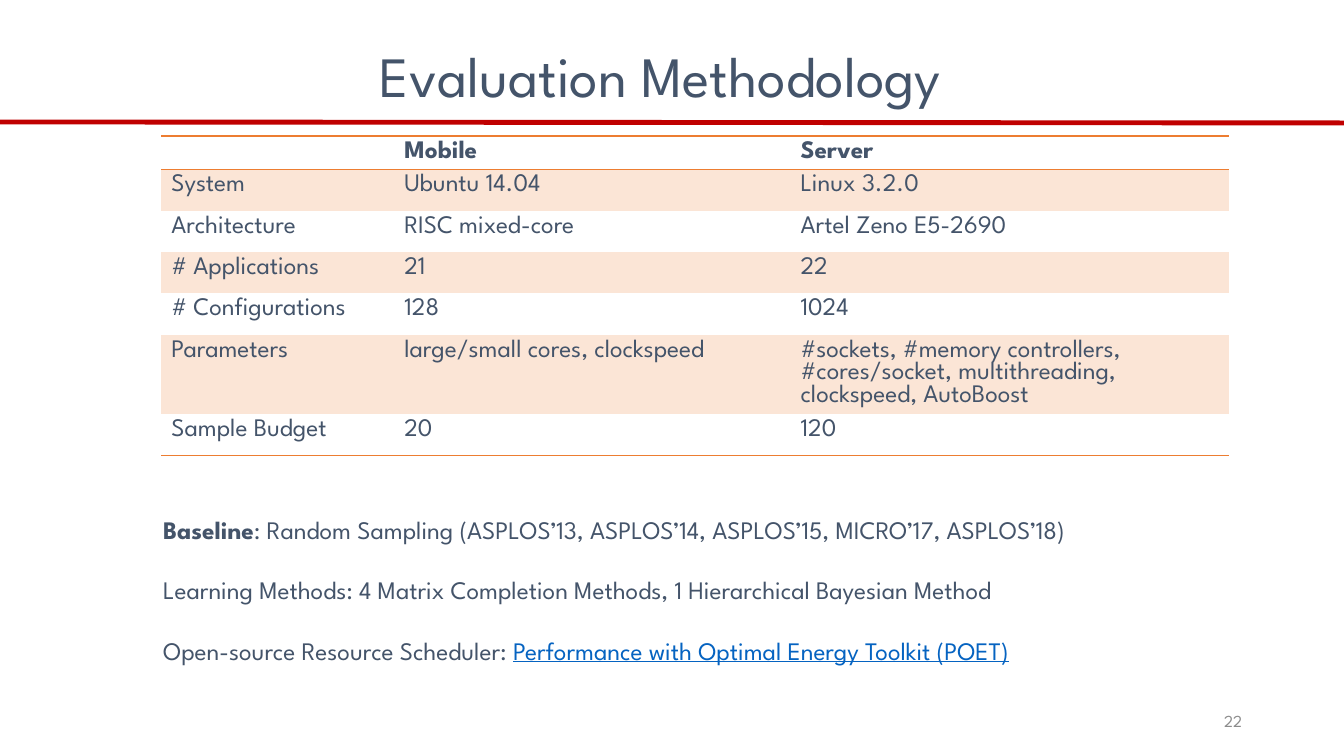
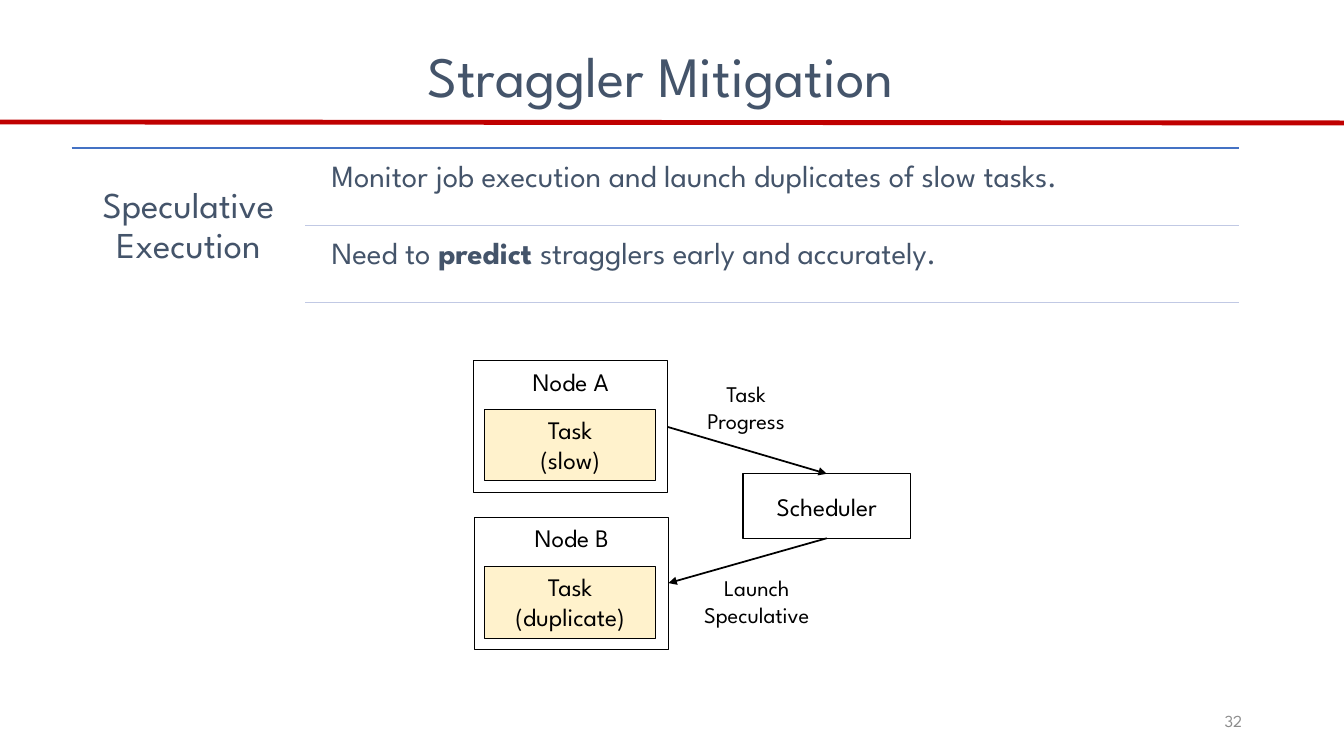
import lxml.etree
import pptx
import pptx.dml.color
import pptx.enum.shapes
import pptx.enum.text
import pptx.oxml.ns
import pptx.util

Inches = pptx.util.Inches
Pt = pptx.util.Pt
Align = pptx.enum.text.PP_ALIGN
Anchor = pptx.enum.text.MSO_ANCHOR
Rgb = pptx.dml.color.RGBColor.from_string
qn = pptx.oxml.ns.qn


class Theme:
    font = "League Spartan"
    ink, black, white, grey = "44546A", "000000", "FFFFFF", "8C8C8C"
    red, orange, peach, cream = "C00000", "ED7D31", "FBE5D6", "FFF2CC"
    blue, pale, link = "4472C4", "C1C9E4", "0563C1"
    title, head, point, body, label, foot = 40.7, 26, 22, 18, 16, 12


def write(frame, paras, size, color=Theme.ink, align=Align.LEFT,
          anchor=Anchor.TOP, inset=None, lead=None, gap=0):
    """Fill a frame; each paragraph is a list of (text, bold) runs."""
    frame.word_wrap = True
    frame.vertical_anchor = anchor
    if inset is not None:
        frame.margin_left = frame.margin_right = Inches(inset)
        frame.margin_top = frame.margin_bottom = Inches(inset)
    for i, runs in enumerate(paras):
        para = frame.add_paragraph() if i else frame.paragraphs[0]
        para.alignment = align
        if lead:
            para.line_spacing = lead
        if i and gap:
            para.space_before = Pt(gap)
        for text, bold in runs:
            run = para.add_run()
            run.text = text
            run.font.name = Theme.font
            run.font.size = Pt(size)
            run.font.bold = bold
            run.font.color.rgb = Rgb(color)


def line(slide, ends, color, width, arrow=False):
    item = slide.shapes.add_connector(
        pptx.enum.shapes.MSO_CONNECTOR.STRAIGHT, *map(Inches, ends))
    item.line.color.rgb = Rgb(color)
    item.line.width = Pt(width)
    props = item.element.spPr
    if arrow:
        lxml.etree.SubElement(props.find(qn("a:ln")), qn("a:tailEnd"), type="triangle")
    lxml.etree.SubElement(props, qn("a:effectLst"))
    return item


deck = pptx.Presentation()
deck.slide_width, deck.slide_height = Inches(13.33), Inches(7.5)

slides = []
for title, page in (("Evaluation Methodology", "22"), ("Straggler Mitigation", "32")):
    slide = deck.slides.add_slide(deck.slide_layouts[6])
    line(slide, (0, 1.21, 13.33, 1.22), Theme.red, 3.5)
    box = slide.shapes.add_textbox(*map(Inches, (9.42, 6.95, 3, 0.4)))
    write(box.text_frame, [[(page, False)]], Theme.foot, Theme.grey,
          Align.RIGHT, Anchor.MIDDLE)
    box = slide.shapes.add_textbox(*map(Inches, (0.8, 0.54, 11.5, 0.61)))
    write(box.text_frame, [[(title, False)]], Theme.title, align=Align.CENTER, lead=0.7)
    slides.append(slide)
method, straggler = slides

# Evaluation table
rows = (
    ("", "Mobile", "Server"),
    ("System", "Ubuntu 14.04", "Linux 3.2.0"),
    ("Architecture", "RISC mixed-core", "Artel Zeno E5-2690"),
    ("# Applications", "21", "22"),
    ("# Configurations", "128", "1024"),
    ("Parameters", "large/small cores, clockspeed",
     "#sockets, #memory controllers, #cores/socket, multithreading, "
     "clockspeed, AutoBoost"),
    ("Sample Budget", "20", "120"),
)
heights = (0.33, 0.41, 0.41, 0.41, 0.41, 0.79, 0.41)
holder = method.shapes.add_table(
    len(rows), 3, *map(Inches, (1.6, 1.35, 10.59, sum(heights))))
grid = holder.table
grid.first_row = grid.horz_banding = False
plain = "{2D5ABB26-0587-4C30-8999-92F81FD0307C}"
next(holder.element.iter(qn("a:tableStyleId"))).text = plain
for col, width in zip(grid.columns, (2.31, 3.93, 4.35)):
    col.width = Inches(width)

edges = {0: ("a:lnT", "a:lnB"), len(rows) - 1: ("a:lnB",)}
nodes = holder.element.iter(qn("a:tc"))
for r, row in enumerate(rows):
    grid.rows[r].height = Inches(heights[r])
    for c, text in enumerate(row):
        cell, node = grid.cell(r, c), next(nodes)
        for side in edges.get(r, ()):
            edge = lxml.etree.SubElement(
                node.get_or_add_tcPr(), qn(side), w=str(Pt(1)))
            solid = lxml.etree.SubElement(edge, qn("a:solidFill"))
            lxml.etree.SubElement(solid, qn("a:srgbClr"), val=Theme.orange)
        if r % 2:
            cell.fill.solid()
            cell.fill.fore_color.rgb = Rgb(Theme.peach)
        else:
            cell.fill.background()
        if text:
            write(cell.text_frame, [[(text, r == 0)]], Theme.body, lead=Pt(16.4))
        else:
            cell.margin_top = cell.margin_bottom = 0

box = method.shapes.add_textbox(*map(Inches, (1.52, 5.05, 10.76, 1.62)))
write(box.text_frame, [
    [("Baseline", True),
     (": Random Sampling (ASPLOS’13, ASPLOS’14, ASPLOS’15, MICRO’17, ASPLOS’18)", False)],
    [("Learning Methods: 4 Matrix Completion Methods, 1 Hierarchical Bayesian Method", False)],
    [("Open-source Resource Scheduler: ", False),
     ("Performance with Optimal Energy Toolkit (POET)", False)],
], Theme.body, gap=21.6)
tool = box.text_frame.paragraphs[-1].runs[-1].font
tool.color.rgb = Rgb(Theme.link)
tool.underline = True

# Speculative execution points
line(straggler, (0.71, 1.47, 12.29, 1.47), Theme.blue, 1)
box = straggler.shapes.add_textbox(*map(Inches, (0.71, 1.47, 2.32, 1.56)))
write(box.text_frame, [[("Speculative Execution", False)]], Theme.head,
      align=Align.CENTER, anchor=Anchor.MIDDLE, inset=0.11, lead=0.9)
points = (
    [("Monitor job execution and launch duplicates of slow tasks.", False)],
    [("Need to ", False), ("predict ", True), ("stragglers early and accurately.", False)],
)
for i, runs in enumerate(points):
    top = 1.51 + 0.76 * i
    box = straggler.shapes.add_textbox(*map(Inches, (3.2, top, 9.09, 0.72)))
    write(box.text_frame, [runs], Theme.point, inset=0.09, lead=0.9)
    line(straggler, (3.03, top + 0.73, 12.29, top + 0.73), Theme.pale, 1)

# Scheduler diagram
parts = {}
for name, at, words, fill, width, anchor in (
    ("a", (4.7, 3.58, 1.92, 1.31), ["Node A"], Theme.white, 0.75, Anchor.TOP),
    ("slow", (4.81, 4.06, 1.69, 0.71), ["Task", "(slow)"], Theme.cream, 0.75, Anchor.TOP),
    ("b", (4.71, 5.13, 1.92, 1.31), ["Node B"], Theme.white, 0.75, Anchor.TOP),
    ("twin", (4.81, 5.62, 1.69, 0.71), ["Task", "(duplicate)"], Theme.cream, 0.75, Anchor.TOP),
    ("plan", (7.37, 4.7, 1.66, 0.64), ["Scheduler"], Theme.white, 1, Anchor.MIDDLE),
):
    box = straggler.shapes.add_shape(
        pptx.enum.shapes.MSO_SHAPE.RECTANGLE, *map(Inches, at))
    box.shadow.inherit = False
    box.fill.solid()
    box.fill.fore_color.rgb = Rgb(fill)
    box.line.color.rgb = Rgb(Theme.black)
    box.line.width = Pt(width)
    write(box.text_frame, [[(word, False)] for word in words], Theme.body,
          Theme.black, Align.CENTER, anchor)
    parts[name] = box

for text, at in (("Task Progress", (6.76, 3.72, 1.28, 0.64)),
                 ("Launch Speculative", (6.75, 5.65, 1.51, 0.64))):
    box = straggler.shapes.add_textbox(*map(Inches, at))
    write(box.text_frame, [[(text, False)]], Theme.label, Theme.black, Align.CENTER)

# Rectangle sites: 0 top, 1 left, 2 bottom, 3 right
for start, out, end, into in (("a", 3, "plan", 0), ("plan", 2, "b", 3)):
    arrow = line(straggler, (0, 0, 0, 0), Theme.black, 1.25, arrow=True)
    arrow.begin_connect(parts[start], out)
    arrow.end_connect(parts[end], into)

deck.save("out.pptx")
